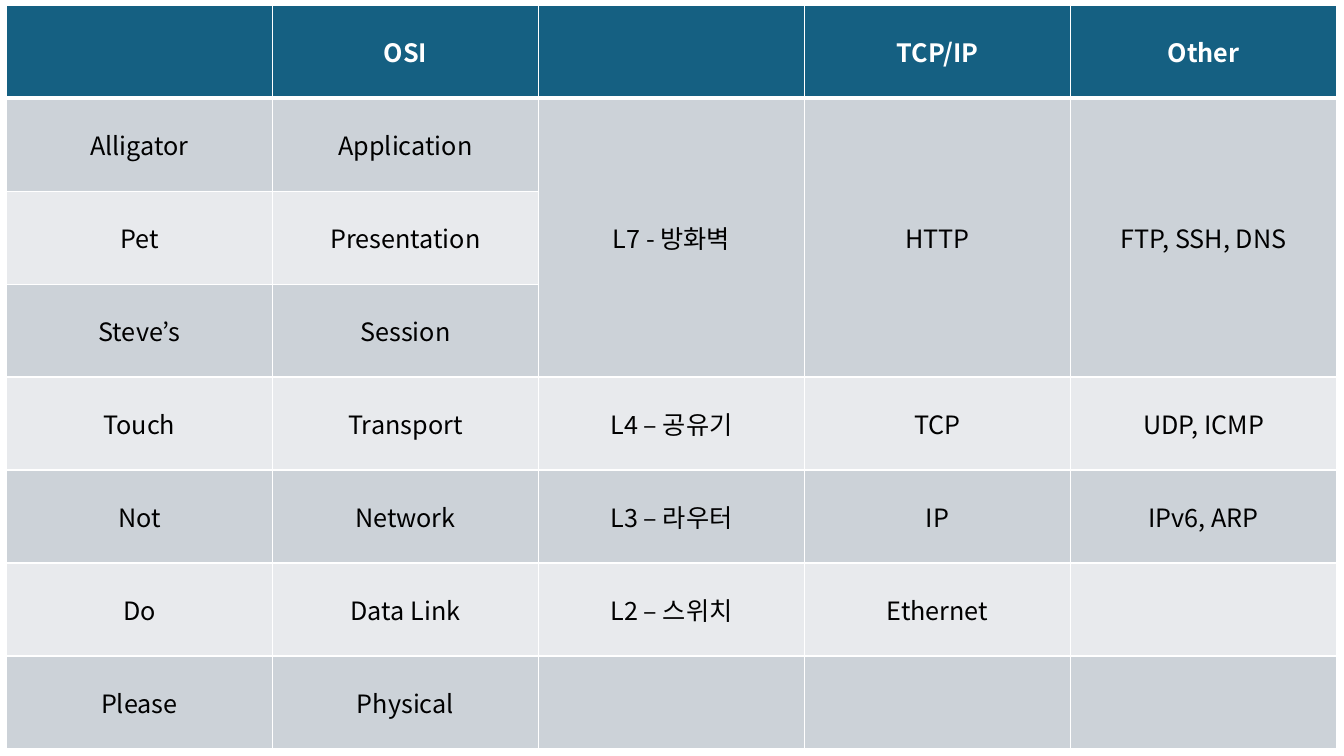
from lxml import etree
from pptx import Presentation
from pptx.dml.color import RGBColor
from pptx.enum import text as t
from pptx.oxml import ns
from pptx.util import Pt

FONT = "Noto Sans CJK KR"
WHITE = RGBColor(0xFF, 0xFF, 0xFF)
BLACK = RGBColor(0, 0, 0)
HEAD = RGBColor(0x15, 0x60, 0x82)
DARK = RGBColor(0xCC, 0xD2, 0xD8)
LIGHT = RGBColor(0xE8, 0xEA, 0xED)
COL, ROW = Pt(190.08), Pt(66.4)

LAYERS = [
    ("", "OSI", "", "TCP/IP", "Other"),
    ("Alligator", "Application", "L7 - 방화벽", "HTTP", "FTP, SSH, DNS"),
    ("Pet", "Presentation", "", "", ""),
    ("Steve’s", "Session", "", "", ""),
    ("Touch", "Transport", "L4 – 공유기", "TCP", "UDP, ICMP"),
    ("Not", "Network", "L3 – 라우터", "IP", "IPv6, ARP"),
    ("Do", "Data Link", "L2 – 스위치", "Ethernet", ""),
    ("Please", "Physical", "", "", ""),
]


def edge(cell, side, width):
    line = etree.SubElement(cell._tc.get_or_add_tcPr(), ns.qn("a:ln" + side), w=str(Pt(width)))
    fill = etree.SubElement(line, ns.qn("a:solidFill"))
    etree.SubElement(fill, ns.qn("a:srgbClr"), val=str(WHITE))


prs = Presentation()
prs.slide_width, prs.slide_height = Pt(960), Pt(540)
slide = prs.slides.add_slide(prs.slide_layouts[6])
rows, cols = len(LAYERS), len(LAYERS[0])
table = slide.shapes.add_table(rows, cols, Pt(4.5), Pt(3.8), COL * cols, ROW * rows).table
for col in table.columns:
    col.width = COL
for row in table.rows:
    row.height = ROW

for r, layer in enumerate(LAYERS):
    for c, label in enumerate(layer):
        cell = table.cell(r, c)
        for side in "LRTB":
            thick = (r, side) in ((0, "B"), (1, "T"))
            edge(cell, side, 3 if thick else 1)
        cell.fill.solid()
        cell.fill.fore_color.rgb = HEAD if r == 0 else DARK if r % 2 else LIGHT
        cell.vertical_anchor = t.MSO_ANCHOR.MIDDLE
        para = cell.text_frame.paragraphs[0]
        para.alignment = t.PP_ALIGN.CENTER
        if label:
            run = para.add_run()
            run.text = label
            font = run.font
            font.name, font.size, font.bold = FONT, Pt(18), r == 0
            font.color.rgb = WHITE if r == 0 else BLACK
            east = etree.SubElement(run._r.get_or_add_rPr(), ns.qn("a:ea"))
            east.set("typeface", FONT)

for c in range(2, cols):
    table.cell(1, c).merge(table.cell(3, c))

prs.save("out.pptx")
